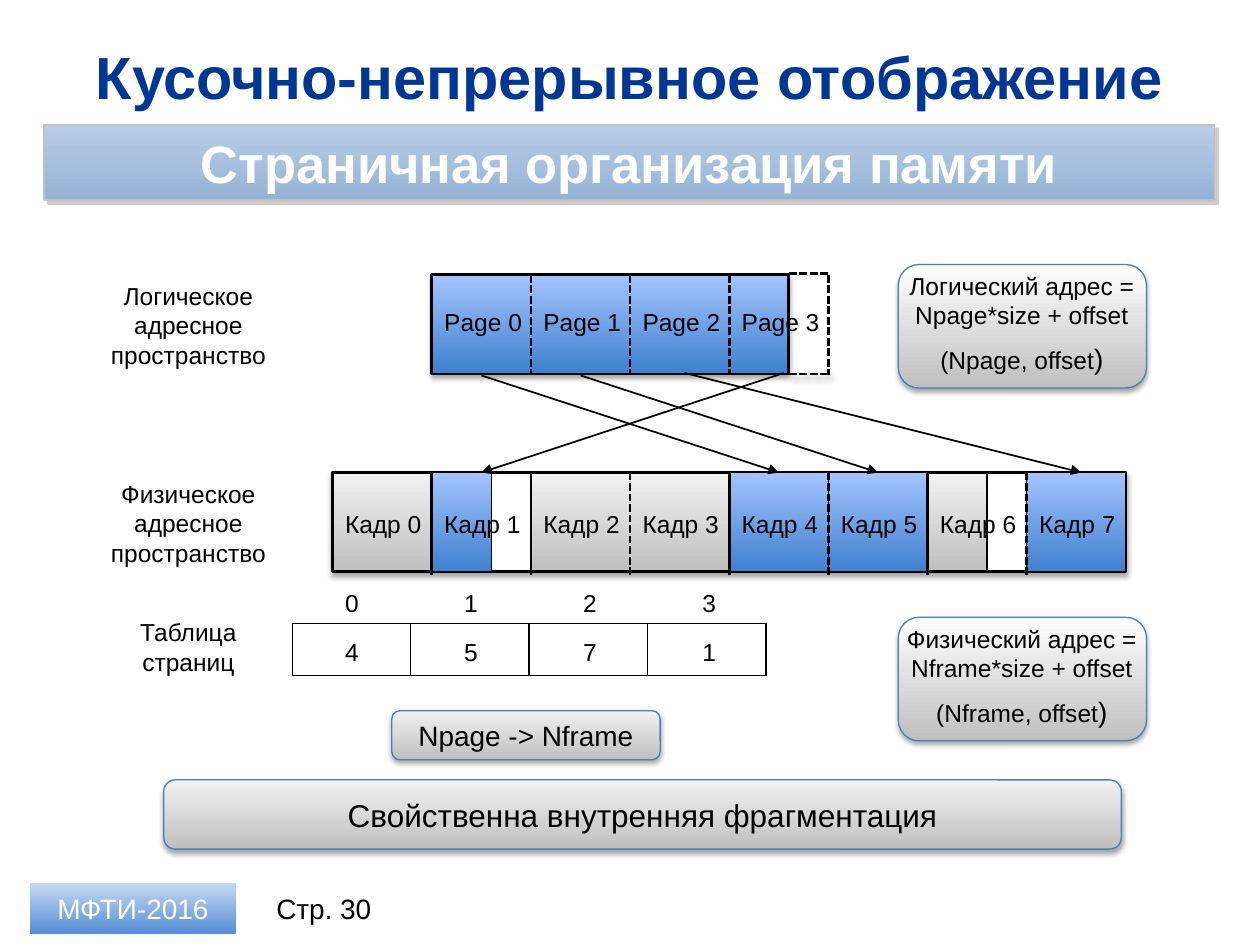
"""Draw the slide on paged memory; all lengths are percents of the slide's size."""
from typing import NamedTuple, Optional

from lxml.etree import SubElement
from pptx import Presentation
from pptx.dml.color import RGBColor
from pptx.enum.dml import MSO_LINE
from pptx.enum.shapes import MSO_CONNECTOR, MSO_SHAPE
from pptx.enum.text import MSO_ANCHOR, PP_ALIGN
from pptx.oxml.ns import qn
from pptx.util import Inches, Pt

RECT, ROUND = MSO_SHAPE.RECTANGLE, MSO_SHAPE.ROUNDED_RECTANGLE
LEFT, MID = PP_ALIGN.LEFT, PP_ALIGN.CENTER
TOP, CENTER = MSO_ANCHOR.TOP, MSO_ANCHOR.MIDDLE
DASH, STRAIGHT = MSO_LINE.SQUARE_DOT, MSO_CONNECTOR.STRAIGHT

BLACK = RGBColor(0x00, 0x00, 0x00)
WHITE = RGBColor(0xFF, 0xFF, 0xFF)
NAVY = RGBColor(0x00, 0x37, 0x94)
SILVER = RGBColor(0xC0, 0xC0, 0xC0)
SMOKE = RGBColor(0x80, 0x80, 0x80)
EDGE = RGBColor(0x4B, 0x7E, 0xBC)
BLUE = (RGBColor(0x3F, 0x80, 0xCE), RGBColor(0xA4, 0xC4, 0xFF))
GRAY = (RGBColor(0xBF, 0xBF, 0xBF), RGBColor(0xF2, 0xF2, 0xF2))
PALE = (RGBColor(0xBF, 0xBF, 0xBF), WHITE)
SKY = (RGBColor(0x95, 0xB3, 0xD7), RGBColor(0xB9, 0xCD, 0xE5))
BADGE = (RGBColor(0x55, 0x8E, 0xD5), RGBColor(0xC6, 0xD9, 0xF1))

WIDE, HIGH = Inches(10), Inches(7.5)
START, STEP = 26.4, 7.87
PAGES, FRAMES, BAR = 29.07, 50, 10.5
SLOT = 9.45


class Area(NamedTuple):
    left: float
    top: float
    width: float
    height: float


class Shade(NamedTuple):
    color: RGBColor
    alpha: int
    blur: float
    dist: float
    angle: int


class Block(NamedTuple):
    col: float
    span: float
    tint: tuple
    line: float


class Link(NamedTuple):
    start: float
    top: float
    end: float


class Note(NamedTuple):
    top: float
    head: str
    pair: str


SOFT = Shade(BLACK, 35, 3.1, 1.8, 90)
HARD = Shade(SMOKE, 40, 0, 3, 45)
SIDE = Shade(BLACK, 40, 4, 3, 45)

BLOCKS = [
    Block(1, 0.6, BLUE, 0.75), Block(7, 1, BLUE, 0.75),
    Block(5, 1, BLUE, 0.75), Block(4, 1, BLUE, 0.75),
    Block(6, 0.6, GRAY, 1.5), Block(2, 2, GRAY, 1.5), Block(0, 1, GRAY, 1.5),
]
LINKS = [
    Link(1.5, 39.73, 4.5), Link(2.5, 39.73, 5.5),
    Link(3.55, 39.47, 7.55), Link(4.55, 39.47, 1.5),
]
SIDES = [
    (PAGES, 10.8, "Логическое\nадресное\nпространство"),
    (FRAMES, 10.8, "Физическое\nадресное\nпространство"),
    (64.67, 7.6, "Таблица\nстраниц"),
]
NOTES = [
    Note(28, "Логический адрес =\nNpage*size + offset", "(Npage, offset"),
    Note(65.33, "Физический адрес =\nNframe*size + offset", "(Nframe, offset"),
]

deck = Presentation()
deck.slide_width, deck.slide_height = WIDE, HIGH
shapes = deck.slides.add_slide(deck.slide_layouts[6]).shapes


def across(share: float) -> int:
    return round(WIDE * share / 100)


def down(share: float) -> int:
    return round(HIGH * share / 100)


def place(area: Area) -> tuple:
    return across(area.left), down(area.top), across(area.width), down(area.height)


def column(index: float) -> float:
    return START + STEP * index


def cast(shape, shade: Optional[Shade]) -> None:
    effects = SubElement(shape._element.spPr, qn("a:effectLst"))
    if shade:
        outer = SubElement(effects, qn("a:outerShdw"), blurRad=str(Pt(shade.blur)),
                           dist=str(Pt(shade.dist)), dir=str(shade.angle * 60000),
                           algn="ctr", rotWithShape="0")
        color = SubElement(outer, qn("a:srgbClr"), val=str(shade.color))
        SubElement(color, qn("a:alpha"), val=str(shade.alpha * 1000))


def write(shape, text: str, size: int = 14, color: RGBColor = BLACK,
          bold: bool = False, align=MID, anchor=CENTER) -> None:
    frame = shape.text_frame
    frame.word_wrap, frame.vertical_anchor = True, anchor
    style(frame.paragraphs[0], text, size, color, bold, align)


def style(para, text: str, size: int, color: RGBColor, bold: bool, align) -> None:
    para.text, para.alignment = text, align
    font = para.font
    font.name, font.size, font.bold = "Arial", Pt(size), bold
    font.color.rgb = color


def label(area: Area, text: str, size: int = 14, **look):
    box = shapes.add_textbox(*place(area))
    write(box, text, size, **look)
    return box


def panel(kind, area: Area, tint: tuple, edge: Optional[RGBColor] = BLACK,
          line: float = 0.75, shade: Optional[Shade] = None):
    shape = shapes.add_shape(kind, *place(area))
    shape.fill.gradient()
    shape.fill.gradient_angle = 90
    for stop, color in zip(shape.fill.gradient_stops, tint):
        stop.color.rgb = color
    if edge is None:
        shape.line.fill.background()
    else:
        shape.line.color.rgb, shape.line.width = edge, Pt(line)
    cast(shape, shade)
    return shape


def stroke(left: float, top: float, right: float, low: float,
           arrow: bool = False, shade: Optional[Shade] = None) -> None:
    rule = shapes.add_connector(STRAIGHT, across(left), down(top), across(right), down(low))
    rule.line.color.rgb, rule.line.width = BLACK, Pt(1 if arrow else 1.5)
    if arrow:
        SubElement(rule._element.spPr.find(qn("a:ln")), qn("a:tailEnd"), type="triangle")
    else:
        rule.line.dash_style = DASH
    cast(rule, shade)


def row(names: list, first: float, step: float, top: float, width: float) -> None:
    for index, name in enumerate(names):
        label(Area(first + step * index, top, width, 4.53), name, align=LEFT, anchor=TOP)


def grid(area: Area, count: int) -> None:
    frame = shapes.add_table(1, count, *place(area))
    for cell in frame.table.rows[0].cells:
        props = cell._tc.get_or_add_tcPr()
        for side in ("a:lnL", "a:lnR", "a:lnT", "a:lnB"):
            edge = SubElement(props, qn(side), w=str(Pt(1)))
            SubElement(SubElement(edge, qn("a:solidFill")), qn("a:srgbClr"), val=str(BLACK))
        cell.fill.background()


def remark(note: Note) -> None:
    panel(ROUND, Area(71.3, note.top, 19.7, 13.07), PALE, EDGE, shade=SOFT)
    box = label(Area(69.7, note.top, 22.8, 13.07), note.head, anchor=TOP)
    para = box.text_frame.add_paragraph()
    style(para, note.pair, 14, BLACK, False, MID)
    para.space_before = Pt(7)
    end = para.add_run()
    end.text, end.font.size = ")", Pt(16)


def main() -> None:
    label(Area(3.5, 3.47, 92.9, 9.07), "Кусочно-непрерывное отображение", 34,
          color=NAVY, bold=True)
    label(Area(20.3, 93.47, 10.8, 5.33), "Стр. 30", 16)
    write(panel(RECT, Area(2.4, 93.47, 16.3, 5.33), BADGE, None), "МФТИ-2016", 16, WHITE)
    write(panel(RECT, Area(3.5, 13.2, 92.9, 8), SKY, SILVER, 1, HARD),
          "Страничная организация памяти", 30, WHITE, True)

    panel(RECT, Area(START, FRAMES, STEP * 8, BAR), (WHITE, WHITE), line=1.5, shade=SOFT)
    for block in BLOCKS:
        panel(RECT, Area(column(block.col), FRAMES, STEP * block.span, BAR),
              block.tint, line=block.line)
    panel(RECT, Area(column(1), PAGES, STEP * 3.6, BAR), BLUE, line=1.5, shade=SOFT)

    for index in range(2, 6):
        stroke(column(index), PAGES, column(index), 39.73)
    for top, shade in ((28.93, None), (39.6, SIDE)):
        stroke(column(4.6), top, column(5), top, shade=shade)
    for index in range(1, 8):
        stroke(column(index), FRAMES, column(index), 60.8)
    row([f"Page {n}" for n in range(4)], column(1), STEP, 31.87, 8.7)
    row([f"Кадр {n}" for n in range(8)], START, STEP, 53.2, 8.7)
    for link in LINKS:
        stroke(column(link.start), link.top, column(link.end), FRAMES, arrow=True)

    for top, height, text in SIDES:
        label(Area(7.5, top, 14.9, height), text, anchor=TOP)
    for note in NOTES:
        remark(note)
    grid(Area(23.2, 66, 37.6, 5.47), 4)
    row(list("0123"), START, SLOT, 61.6, 3.9)
    row(list("4571"), START, SLOT, 66.8, 3.9)

    write(panel(ROUND, Area(31.1, 75.2, 21.3, 5.2), GRAY, EDGE, shade=SOFT),
          "Npage -> Nframe", 16)
    write(panel(ROUND, Area(13, 82.53, 76, 7.33), GRAY, EDGE, shade=SOFT),
          "Свойственна внутренняя фрагментация", 18)
    deck.save("out.pptx")


if __name__ == "__main__":
    main()
